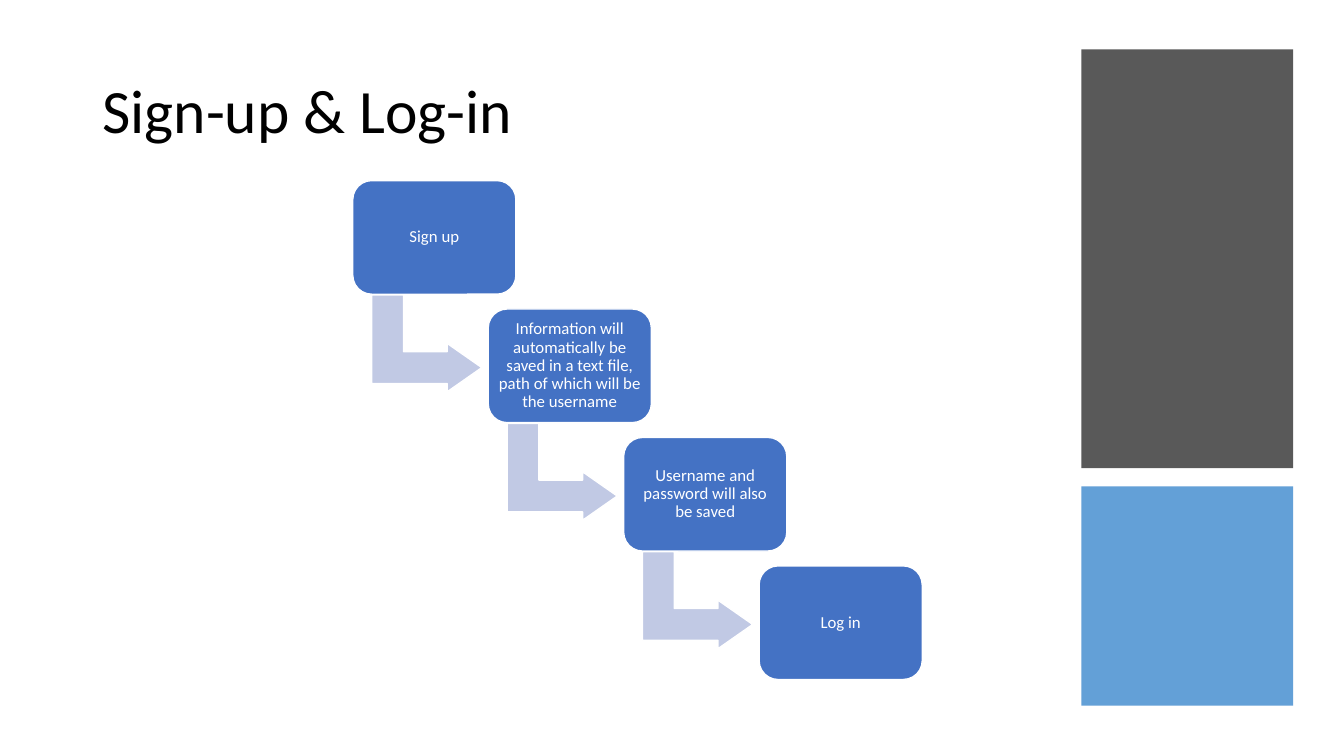
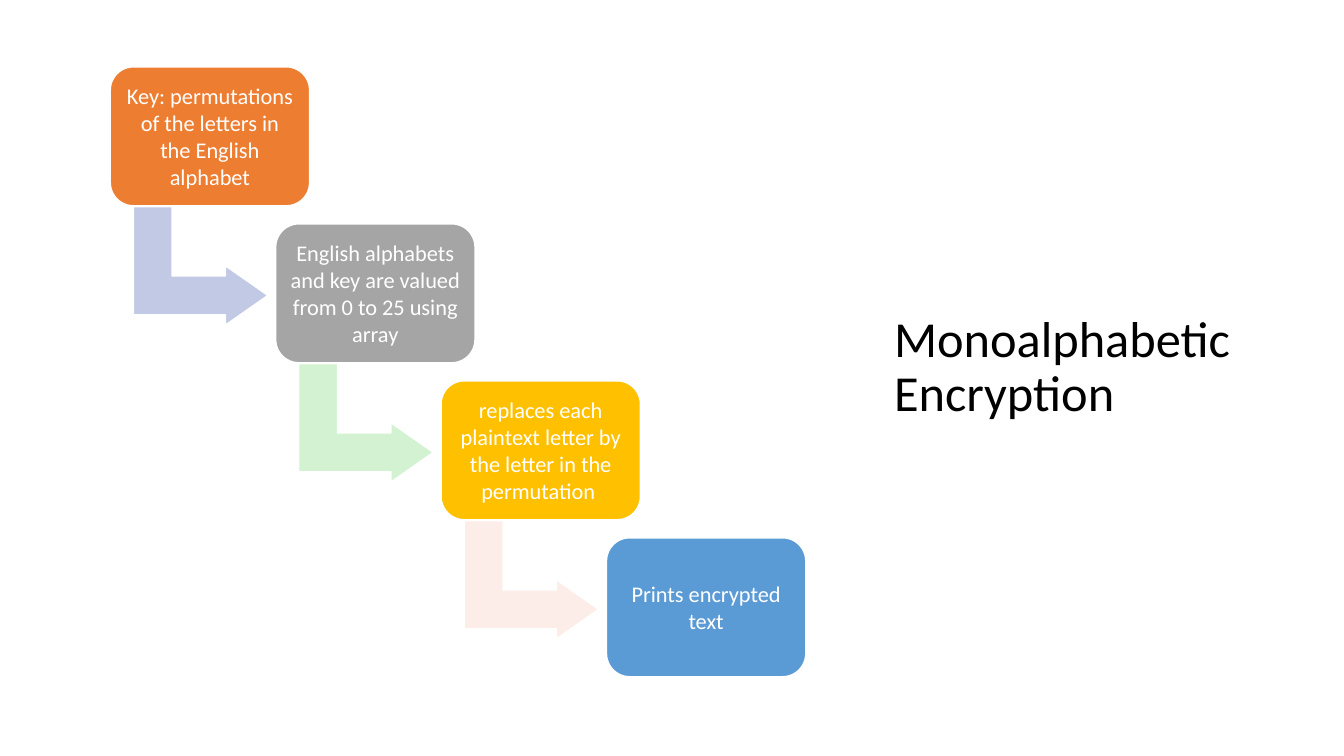
"""Build two slides that show processes as descending stairs."""
from lxml import etree
from pptx import Presentation
from pptx.dml import color
from pptx.enum import shapes, text
from pptx.oxml import ns
from pptx.util import Pt

WHITE, BLACK, GREY, BLUE = "FFFFFF", "000000", "595959", "5B9BD5"
STEP_BLUE, ARROW_BLUE = "4472C4", "C1C9E4"
FONT = "Calibri"
STEP_ACROSS, STEP_DOWN = 0.83, 1.13
ARROW_SIZE = 0.594, 0.675
ARROW_CENTER = 0.453, 1.432
ARROW_ADJUSTMENTS = 0.328, 0.25, 0.358
CORNER = 0.167
TITLE_FRAME = {
    "word_wrap": True,
    "auto_size": text.MSO_AUTO_SIZE.NONE,
    "vertical_anchor": text.MSO_ANCHOR.MIDDLE,
}


def set_values(target, values):
    """Set every attribute named in a dict."""
    for name, value in values.items():
        setattr(target, name, value)


def set_color(format_part, hex_color):
    """Give a font or a fill a solid colour."""
    fill = getattr(format_part, "fill", format_part)
    fill.solid()
    fill.fore_color.rgb = color.RGBColor.from_string(hex_color)


def set_paragraph(para, words, size, hex_color, align, spacing):
    """Write a paragraph in the deck's font."""
    para.text = words
    set_values(para, {"alignment": align, "line_spacing": spacing})
    set_values(para.font, {"name": FONT, "size": Pt(size)})
    set_color(para.font, hex_color)


def add_block(page, kind, box, hex_color, adjustments=(), outline=None):
    """Add a flat filled shape."""
    block = page.shapes.add_shape(kind, *map(Pt, box))
    block.shadow.inherit = False
    set_color(block, hex_color)
    for index, value in enumerate(adjustments):
        block.adjustments[index] = value
    if outline:
        set_color(block.line, outline)
        block.line.width = Pt(1)
    else:
        block.line.fill.background()
    return block


def add_page(deck, title, box, size):
    """Add a title-only slide and place its title in the box."""
    page = deck.slides.add_slide(deck.slide_layouts[5])
    names = "left", "top", "width", "height"
    set_values(page.shapes.title, dict(zip(names, map(Pt, box))))
    frame = page.shapes.title.text_frame
    set_values(frame, TITLE_FRAME)
    set_paragraph(frame.paragraphs[0], title, size, BLACK, text.PP_ALIGN.LEFT, 0.9)
    return page


def add_side_bands(page, box):
    """Stack a grey band and a slightly transparent blue band."""
    left, top, width, height = box
    gap, lower = 13, 156.5
    upper = height - gap - lower
    kind = shapes.MSO_SHAPE.RECTANGLE
    add_block(page, kind, (left, top, width, upper), GREY)
    band = add_block(page, kind, (left, top + upper + gap, width, lower), BLUE)
    tint = band.fill._xPr.find(".//" + ns.qn("a:srgbClr"))
    etree.SubElement(tint, ns.qn("a:alpha"), val="95000")


def add_arrow(page, left, top, width, height, hex_color):
    """Add the bent arrow that leaves the step in the given box."""
    across, along = (width * ratio for ratio in ARROW_SIZE)
    center_x = left + width * ARROW_CENTER[0]
    center_y = top + height * ARROW_CENTER[1]
    box = center_x - across / 2, center_y - along / 2, across, along
    arrow = add_block(page, shapes.MSO_SHAPE.BENT_UP_ARROW, box, hex_color,
                      ARROW_ADJUSTMENTS, WHITE)
    arrow.rotation = 90


def add_step(page, box, words, hex_color, size, spacing):
    """Add one rounded step with centred text."""
    step = add_block(page, shapes.MSO_SHAPE.ROUNDED_RECTANGLE, box, hex_color,
                     [CORNER], WHITE)
    sides = "left", "top", "right", "bottom"
    margins = {f"margin_{side}": Pt(0.3 * size) for side in sides}
    set_values(step.text_frame, {**TITLE_FRAME, **margins})
    set_paragraph(step.text_frame.paragraphs[0], words, size, WHITE,
                  text.PP_ALIGN.CENTER, spacing)


def add_stairs(page, box, steps, size, spacing):
    """Fill the box with steps that descend to the right."""
    left, top, width, height = box
    last = len(steps) - 1
    step_width = width / (1 + last * STEP_ACROSS)
    step_height = height / (1 + last * STEP_DOWN)
    for index, (words, fill, arrow_fill) in enumerate(steps):
        step_box = (left + index * step_width * STEP_ACROSS,
                    top + index * step_height * STEP_DOWN,
                    step_width, step_height)
        if index < last:
            add_arrow(page, *step_box, arrow_fill)
        add_step(page, step_box, words, fill, size, spacing)


def build_login_page(deck):
    """Build the sign-up and log-in slide."""
    page = add_page(deck, "Sign-up & Log-in", (66, 28.8, 828, 104.4), 44)
    add_side_bands(page, (772.5, 35.3, 151.2, 468.7))
    words = (
        "Sign up",
        "Information will automatically be saved in a text file, "
        "path of which will be the username",
        "Username and password will also be saved",
        "Log in",
    )
    steps = [(label, STEP_BLUE, ARROW_BLUE) for label in words]
    add_stairs(page, (252, 129, 406.8, 356.4), steps, 12, 0.9)


def build_encryption_page(deck):
    """Build the monoalphabetic encryption slide."""
    page = add_page(deck, "Monoalphabetic Encryption",
                    (631.4, 43.2, 262.8, 439.2), 36)
    steps = (
        ("Key: permutations of the letters in the English alphabet",
         "ED7D31", ARROW_BLUE),
        ("English alphabets and key are valued from 0 to 25 using array",
         "A5A5A5", "D2F2D2"),
        ("replaces each plaintext letter by the letter in the permutation ",
         "FFC000", "FCEDE8"),
        ("Prints encrypted text", BLUE, None),
    )
    add_stairs(page, (78.8, 47.8, 496.8, 435.6), steps, 16, 1.0)


def main():
    """Build and save the deck."""
    deck = Presentation()
    set_values(deck, {"slide_width": Pt(960), "slide_height": Pt(540)})
    build_login_page(deck)
    build_encryption_page(deck)
    deck.save("out.pptx")


if __name__ == "__main__":
    main()
